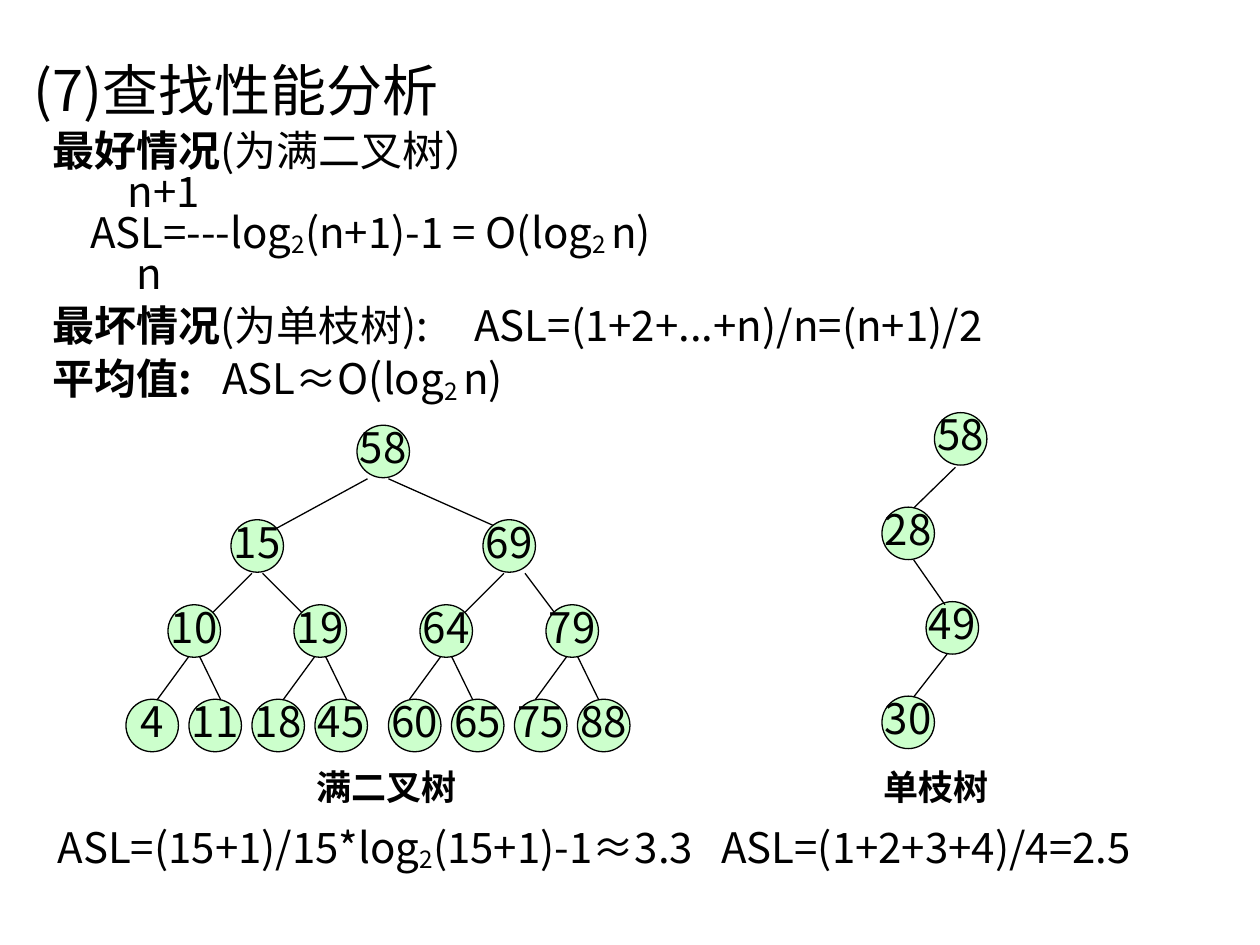
from dataclasses import dataclass

from lxml.etree import SubElement
from pptx import Presentation
from pptx.dml.color import RGBColor
from pptx.enum.shapes import MSO_CONNECTOR, MSO_SHAPE
from pptx.enum.text import MSO_ANCHOR, MSO_AUTO_SIZE, PP_ALIGN
from pptx.oxml.ns import qn
from pptx.util import Inches, Pt


@dataclass(frozen=True)
class Theme:
    ink: RGBColor = RGBColor(0, 0, 0)
    leaf: RGBColor = RGBColor(0xCC, 0xFF, 0xCC)
    face: str = "Noto Sans CJK SC"
    title: int = 32
    body: int = 24
    label: int = 20
    rule: float = 0.75


CELL = Inches(1) // 12  # 120 columns by 90 rows
NODE = 5
SUB = "-12000"


class Board:
    def __init__(self, slide, theme):
        self.slide, self.theme = slide, theme

    def grid(self, *cells):
        return [round(c * CELL) for c in cells]

    def runs(self, para, parts, size):
        """Add (text, style) parts; style is "", "bold" or "sub"."""
        for text, style in parts:
            run = para.add_run()
            run.text = text
            form = {"size": Pt(size), "name": self.theme.face, "bold": style == "bold"}
            for key, value in form.items():
                setattr(run.font, key, value)
            run.font.color.rgb = self.theme.ink
            props = run.font._element
            SubElement(props, qn("a:ea")).set("typeface", self.theme.face)
            if style == "sub":
                props.set("baseline", SUB)

    def text(self, box, lines):
        """Lines are (parts, size, line spacing, first indent, tab stop) in inches."""
        frame = self.slide.shapes.add_textbox(*self.grid(*box)).text_frame
        form = {"word_wrap": True, "auto_size": MSO_AUTO_SIZE.NONE, "margin_right": 0}
        for key, value in form.items():
            setattr(frame, key, value)
        for i, (parts, size, space, indent, tab) in enumerate(lines):
            para = frame.add_paragraph() if i else frame.paragraphs[0]
            para.line_spacing = space
            props = para._p.get_or_add_pPr()
            props.set("marL", "0")
            props.set("indent", str(Inches(indent)))
            if tab:
                stop = SubElement(SubElement(props, qn("a:tabLst")), qn("a:tab"))
                stop.set("pos", str(Inches(tab)))
                stop.set("algn", "l")
            self.runs(para, parts, size)

    def node(self, col, row, number):
        oval = self.slide.shapes.add_shape(
            MSO_SHAPE.OVAL, *self.grid(col, row, NODE, NODE))
        oval.shadow.inherit = False
        oval.fill.solid()
        oval.fill.fore_color.rgb = self.theme.leaf
        oval.line.color.rgb = self.theme.ink
        oval.line.width = Pt(self.theme.rule)
        frame = oval.text_frame
        form = {"word_wrap": False, "vertical_anchor": MSO_ANCHOR.MIDDLE}
        for key, value in form.items():
            setattr(frame, key, value)
        para = frame.paragraphs[0]
        para.alignment, para.line_spacing = PP_ALIGN.CENTER, 0.8
        self.runs(para, [(str(number), "")], self.theme.body)

    def edge(self, *ends):
        line = self.slide.shapes.add_connector(MSO_CONNECTOR.STRAIGHT, *self.grid(*ends))
        line.line.color.rgb = self.theme.ink
        line.line.width = Pt(self.theme.rule)
        SubElement(line._element.spPr, qn("a:effectLst"))


def full_tree(board):
    rows = (40.5, 49.5, 57.6, 66.6)
    board.edge(35, 45.6, 26, 50.5)
    board.edge(37, 45.6, 48, 50.5)
    for left, shift in ((22, 0), (46, 1)):
        board.edge(left + 2, 54.6, left - 2, 58.6)
        board.edge(left + 3 + shift, 54.6, left + 7, 58.6)
    for left in (16, 28, 40, 52):
        board.edge(left + 2, 62.5, left - 1, 66.6)
        board.edge(left + 3, 62.5, left + 5, 66.6)
    levels = (
        ((34,), (58,)),
        ((22, 46), (15, 69)),
        ((16, 28, 40, 52), (10, 19, 64, 79)),
        ((12, 18, 24, 30, 37, 43, 49, 55), (4, 11, 18, 45, 60, 65, 75, 88)),
    )
    for row, (cols, values) in zip(rows, levels):
        for col, value in zip(cols, values):
            board.node(col, row, value)


def single_tree(board):
    for i, (col, value) in enumerate(((89, 58), (84, 28), (88.2, 49), (84, 30))):
        board.node(col, 39.3 + 9 * i, value)
    for ends in ((91, 44.5, 87, 48.4), (87, 53.3, 90, 57.6), (90.2, 62.3, 87, 66.4)):
        board.edge(*ends)


def main():
    deck = Presentation()
    deck.slide_width, deck.slide_height = 120 * CELL, 90 * CELL
    theme = Theme()
    board = Board(deck.slides.add_slide(deck.slide_layouts[6]), theme)
    body = theme.body

    log_n = [("2 ", "sub"), ("n)", "")]
    board.text((2, 4.35, 118, 40), [
        ([("(7)查找性能分析", "")], theme.title, 1.05, 0, 0),
        ([("最好情况", "bold"), ("(为满二叉树）", "")], body, 1.05, 0.15, 0),
        ([("n+1", "")], body, 0.8, 0.75, 0),
        ([("ASL=---log", ""), ("2", "sub"), ("(n+1)-1 = O(log", ""), *log_n],
         body, 0.8, 0.45, 0),
        ([("n", "")], body, 0.8, 0.82, 0),
        ([("最坏情况", "bold"), ("(为单枝树):\tASL=(1+2+...+n)/n=(n+1)/2", "")],
         body, 1.05, 0.15, 3.55),
        ([("平均值:", "bold"), ("\tASL≈O(log", ""), *log_n], body, 1.05, 0.15, 1.63),
    ])

    single_tree(board)
    full_tree(board)

    notes = (
        ((29, 72.3, 17, 5.3), [("满二叉树", "bold")], theme.label),
        ((83, 72.3, 14, 5.3), [("单枝树", "bold")], theme.label),
        ((4.3, 77.6, 63.2, 6.1),
         [("ASL=(15+1)/15*log", ""), ("2", "sub"), ("(15+1)-1≈3.3", "")], body),
        ((67.5, 77.6, 43, 6.1), [("ASL=(1+2+3+4)/4=2.5", "")], body),
    )
    for box, parts, size in notes:
        board.text(box, [(parts, size, 1, 0, 0)])
    deck.save("out.pptx")


if __name__ == "__main__":
    main()
